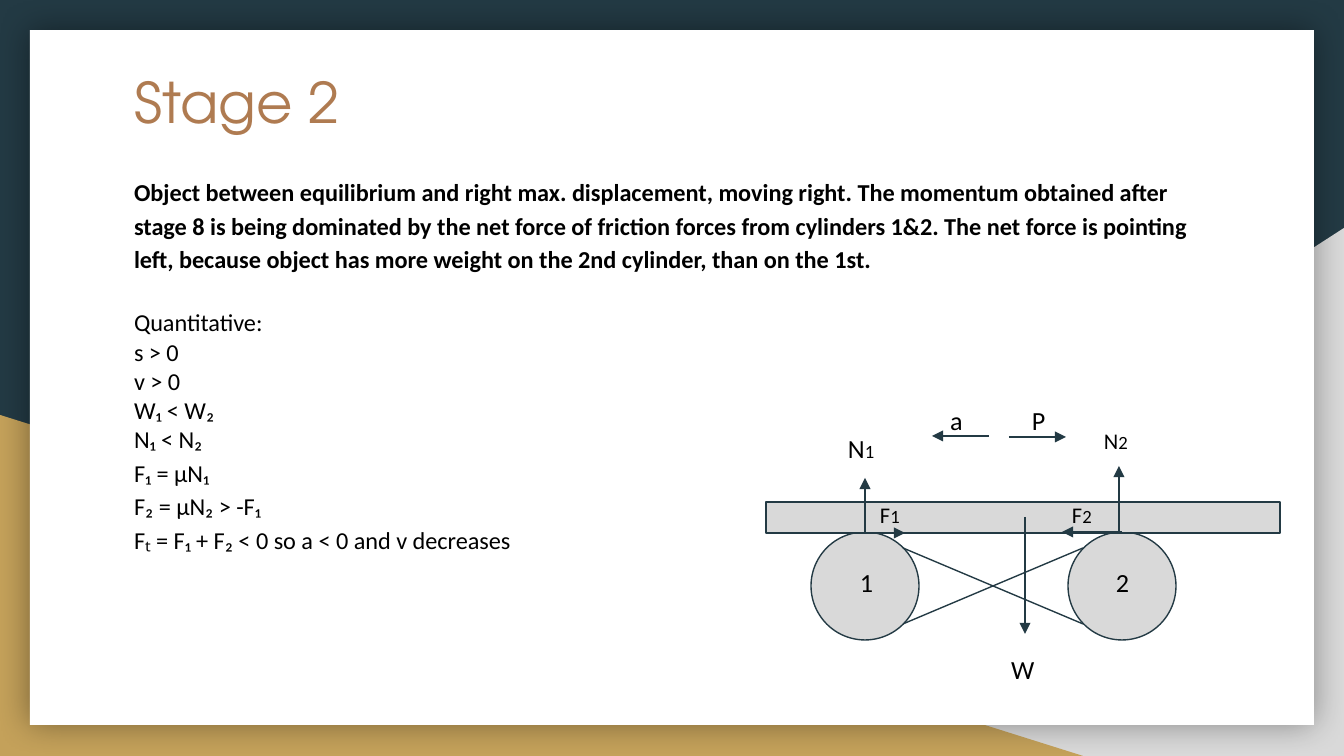
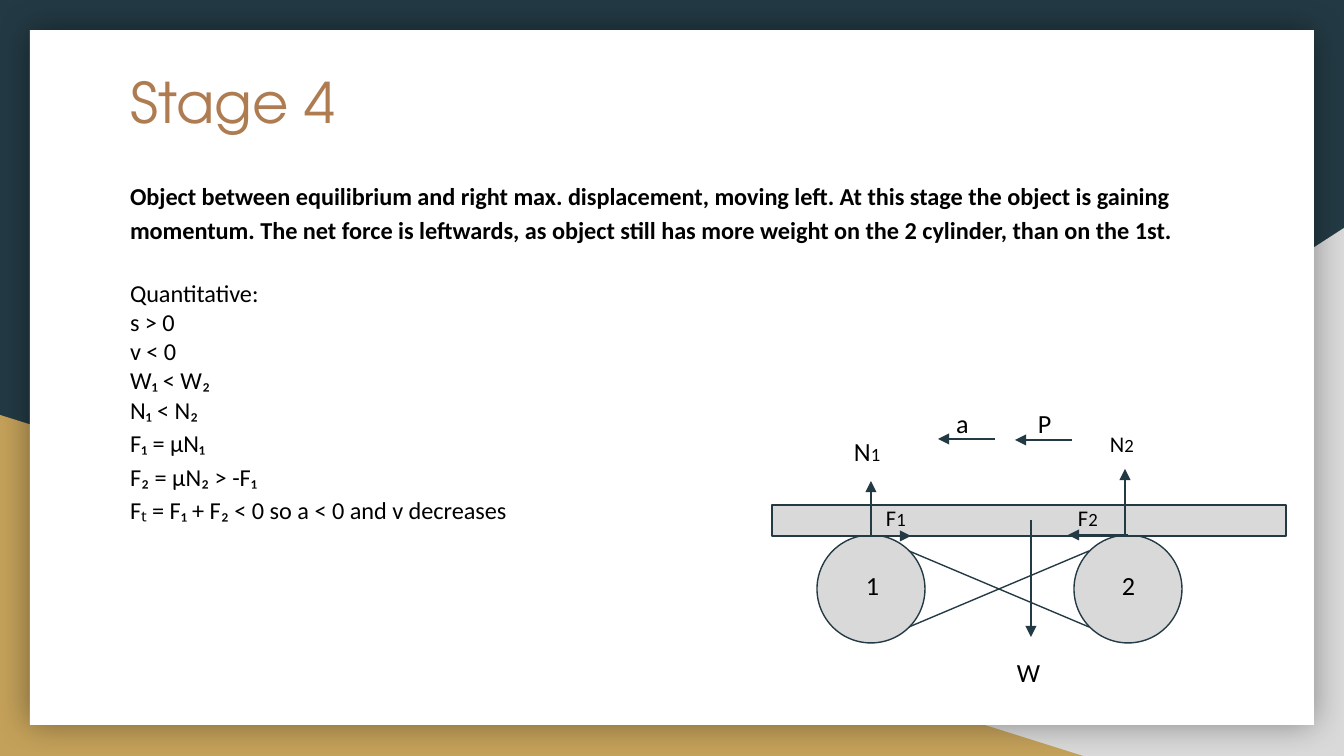
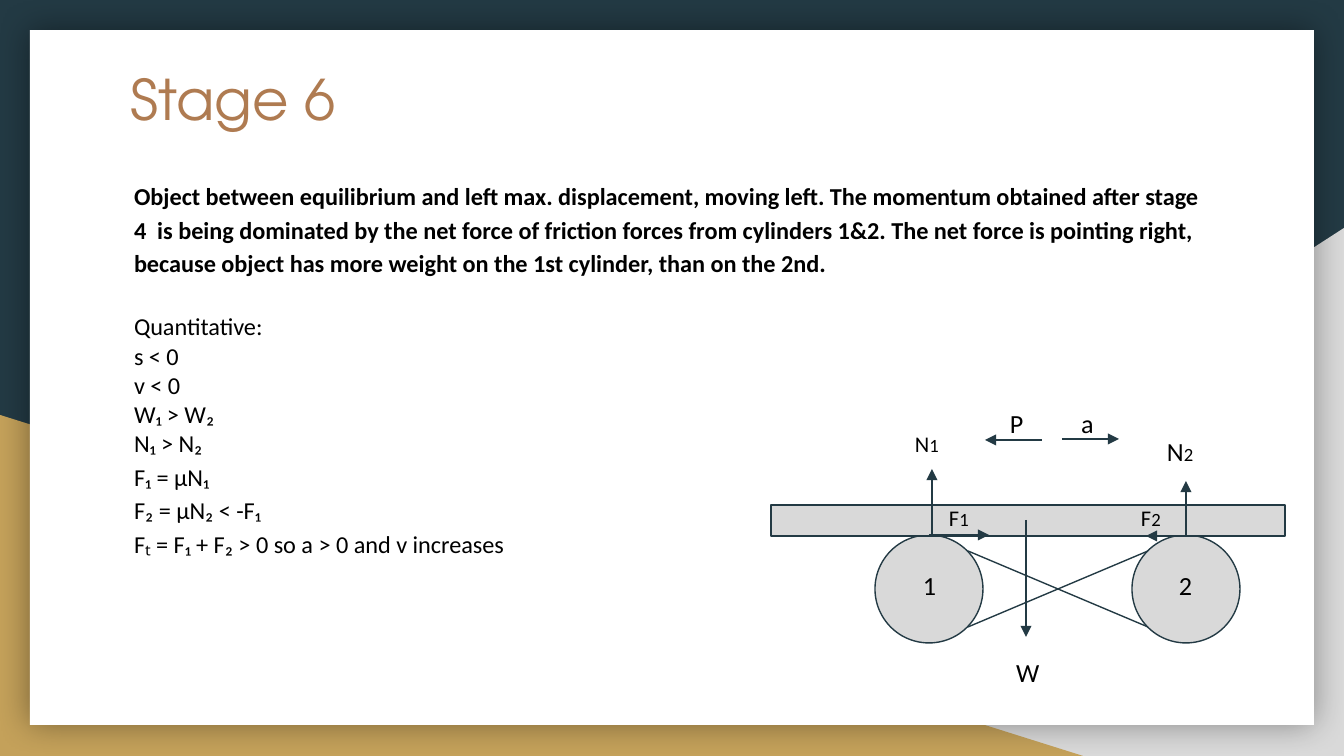
"""Builds three slides on the forces acting on a beam over two rotating cylinders."""
from dataclasses import dataclass

import lxml.etree
import pptx
import pptx.dml.color
import pptx.enum.shapes
import pptx.enum.text
import pptx.oxml.ns
import pptx.util

STAGES = [
    {
        "title": "Stage 2",
        "summary": "Object between equilibrium and right max. displacement, moving right. "
                   "The momentum obtained after stage 8 is being dominated by the net force of "
                   "friction forces from cylinders 1&2. The net force is pointing left, because "
                   "object has more weight on the 2nd cylinder, than on the 1st.",
        "readings": ["s > 0", "v > 0", "W₁ < W₂", "N₁ < N₂"],
        "friction": ["F₁ = μN₁", "F₂ = μN₂ > -F₁",
                     "Fₜ = F₁ + F₂ < 0 so a < 0 and v decreases"],
        "title_at": (121, 54), "body_at": (121, 160), "beam_at": (766, 502),
        "mirrored": False, "momentum_reversed": False,
        "momentum_label_x": 253, "acceleration_label_x": 171,
    },
    {
        "title": "Stage 4",
        "summary": "Object between equilibrium and right max. displacement, moving left. "
                   "At this stage the object is gaining momentum. The net force is leftwards, "
                   "as object still has more weight on the 2 cylinder, than on the 1st.",
        "readings": ["s > 0", "v < 0", "W₁ < W₂", "N₁ < N₂"],
        "friction": ["F₁ = μN₁", "F₂ = μN₂ > -F₁",
                     "Fₜ = F₁ + F₂ < 0 so a < 0 and v decreases"],
        "title_at": (117, 54), "body_at": (117, 164), "beam_at": (772, 505),
        "mirrored": False, "momentum_reversed": True,
        "momentum_label_x": 253, "acceleration_label_x": 171,
    },
    {
        "title": "Stage 6",
        "summary": "Object between equilibrium and left max. displacement, moving left. "
                   "The momentum obtained after stage 4  is being dominated by the net force of "
                   "friction forces from cylinders 1&2. The net force is pointing right, because "
                   "object has more weight on the 1st cylinder, than on the 2nd.",
        "readings": ["s < 0", "v < 0", "W₁ > W₂", "N₁ > N₂"],
        "friction": ["F₁ = μN₁", "F₂ = μN₂ < -F₁",
                     "Fₜ = F₁ + F₂ > 0 so a > 0 and v increases"],
        "title_at": (117, 51), "body_at": (121, 164), "beam_at": (771, 505),
        "mirrored": True, "momentum_reversed": False,
        "momentum_label_x": 226, "acceleration_label_x": 297,
    },
]

SLIDE_SIZE = (1344, 756)
TITLE_SIZE = (1103, 140)
BODY_SIZE = (1103, 516)
INSET = 13

BEAM_WIDTH, BEAM_HEIGHT = 514, 31
CYLINDER_SIZE, CYLINDER_TOP = 108, 30
CYLINDER_LEFTS = (45, 302)
BELTS = [((137, 122), (317, 46)), ((137, 46), (317, 122))]
FORCE_ARROWS = [
    ((259, 15), (259, 132)),
    ((99, 30), (99, -24)),
    ((353, 30), (353, -36)),
    ((356, 30), (296, 30)),
    ((101, 31), (139, 31)),
]
MOMENTUM_ARROW = ((243, -65), (300, -65))
ACCELERATION_ARROW = ((223, -66), (166, -66))


@dataclass(frozen=True)
class Theme:
    """Colours, fonts and sizes shared by all slides."""
    navy: str = "233A44"
    gold: str = "C4A15A"
    grey: str = "D9D9D9"
    white: str = "FFFFFF"
    bronze: str = "AF7B51"
    black: str = "000000"
    title_font: str = "TeX Gyre Adventor"
    body_font: str = "Calibri"
    title_size: int = 30
    body_size: int = 13
    label_size: int = 14
    small_label_size: int = 12
    index_size: int = 10
    thin: float = 0.75
    thick: float = 1.5
    leading: float = 1.15
    section_gap: int = 16
    shadow_blur: int = 18
    shadow_opacity: int = 40


THEME = Theme()
MSO_SHAPE = pptx.enum.shapes.MSO_SHAPE
qn = pptx.oxml.ns.qn


def px(length):
    """Turn px into EMU."""
    return pptx.util.Emu(round(length * 914400 / 134.4))


def rgb(colour):
    """Turn a hex string into a colour."""
    return pptx.dml.color.RGBColor.from_string(colour)


def style_run(run, size, font=THEME.body_font, colour=THEME.black, bold=False):
    """Set the font of one run."""
    run.font.size = pptx.util.Pt(size)
    run.font.name = font
    run.font.color.rgb = rgb(colour)
    run.font.bold = bold


def prepare_frame(frame):
    """Set wrapping, insets and top anchoring."""
    frame.word_wrap = True
    frame.auto_size = pptx.enum.text.MSO_AUTO_SIZE.NONE
    frame.vertical_anchor = pptx.enum.text.MSO_ANCHOR.TOP
    frame.margin_left = frame.margin_right = px(INSET)
    frame.margin_top = frame.margin_bottom = px(INSET)


def place(placeholder, position, size):
    """Move and size a placeholder."""
    placeholder.left, placeholder.top = map(px, position)
    placeholder.width, placeholder.height = map(px, size)


def add_filled(slide, preset, box, fill, outline=None):
    """Add a preset shape with a flat fill."""
    shape = slide.shapes.add_shape(preset, *map(px, box))
    shape.shadow.inherit = False
    shape.fill.solid()
    shape.fill.fore_color.rgb = rgb(fill)
    if outline:
        shape.line.color.rgb = rgb(outline)
        shape.line.width = pptx.util.Pt(THEME.thin)
    else:
        shape.line.fill.background()
    return shape


def add_line(slide, start, end, width, arrow=True):
    """Add a straight line, with an arrowhead at its end if wanted."""
    connector = slide.shapes.add_connector(
        pptx.enum.shapes.MSO_CONNECTOR.STRAIGHT, *map(px, (*start, *end)))
    connector.line.color.rgb = rgb(THEME.navy)
    connector.line.width = pptx.util.Pt(width)
    properties = connector.element.spPr
    if arrow:
        lxml.etree.SubElement(properties.find(qn("a:ln")), qn("a:tailEnd"), type="triangle")
    lxml.etree.SubElement(properties, qn("a:effectLst"))


def add_label(slide, box, letter, index="", size=THEME.label_size):
    """Add a letter with an optional smaller index."""
    frame = slide.shapes.add_textbox(*map(px, box)).text_frame
    prepare_frame(frame)
    frame.text = letter
    paragraph = frame.paragraphs[0]
    style_run(paragraph.runs[0], size)
    if index:
        index_run = paragraph.add_run()
        index_run.text = index
        style_run(index_run, THEME.index_size)


def add_backdrop(master, slide):
    """Give the master its background, corner triangles and white panel."""
    master.background.fill.solid()
    master.background.fill.fore_color.rgb = rgb(THEME.navy)
    right_corner = add_filled(slide, MSO_SHAPE.RIGHT_TRIANGLE, (527, 228, 817, 528), THEME.grey)
    right_corner.element.spPr.find(qn("a:xfrm")).set("flipH", "1")
    left_corner = add_filled(slide, MSO_SHAPE.RIGHT_TRIANGLE, (0, 415, 1083, 341), THEME.gold)
    panel = add_filled(slide, MSO_SHAPE.RECTANGLE, (30, 30, 1284, 695), THEME.white)
    shadow = lxml.etree.SubElement(
        panel.element.spPr.find(qn("a:effectLst")), qn("a:outerShdw"),
        blurRad=str(pptx.util.Pt(THEME.shadow_blur)), dist="0", dir="0",
        algn="ctr", rotWithShape="0")
    shade = lxml.etree.SubElement(shadow, qn("a:srgbClr"), val=THEME.black)
    lxml.etree.SubElement(shade, qn("a:alpha"), val=str(THEME.shadow_opacity * 1000))
    for order, part in enumerate((right_corner, left_corner, panel)):
        part.element.find(".//" + qn("p:cNvPr")).set("id", str(101 + order))
        master.shapes.element.insert(2 + order, part.element)


def write_title(slide, stage):
    """Fill the title placeholder."""
    title = slide.shapes.title
    place(title, stage["title_at"], TITLE_SIZE)
    prepare_frame(title.text_frame)
    title.text_frame.text = stage["title"]
    heading = title.text_frame.paragraphs[0]
    heading.alignment = pptx.enum.text.PP_ALIGN.LEFT
    style_run(heading.runs[0], THEME.title_size, THEME.title_font, THEME.bronze)


def write_body(slide, stage):
    """Fill the body placeholder with the summary and the relations."""
    body = slide.placeholders[1]
    place(body, stage["body_at"], BODY_SIZE)
    prepare_frame(body.text_frame)
    lines = [stage["summary"], "Quantitative:", *stage["readings"], *stage["friction"]]
    body.text_frame.text = "\n".join(lines)
    for number, paragraph in enumerate(body.text_frame.paragraphs):
        properties = paragraph._p.get_or_add_pPr()
        properties.set("marL", "0")
        properties.set("indent", "0")
        lxml.etree.SubElement(properties, qn("a:buNone"))
        paragraph.alignment = pptx.enum.text.PP_ALIGN.LEFT
        paragraph.space_before = pptx.util.Pt(THEME.section_gap if number == 1 else 0)
        is_reading = 2 <= number < 2 + len(stage["readings"])
        paragraph.line_spacing = 1.0 if is_reading else THEME.leading
        style_run(paragraph.runs[0], THEME.body_size, bold=number == 0)


def draw_forces(slide, stage):
    """Draw the beam, cylinders, belts and force arrows."""
    beam_left, beam_top = stage["beam_at"]
    mirrored = stage["mirrored"]

    def point(x, y):
        return beam_left + (BEAM_WIDTH - x if mirrored else x), beam_top + y

    def box(x, y, width, height):
        left = BEAM_WIDTH - x - width if mirrored else x
        return beam_left + left, beam_top + y, width, height

    for left in CYLINDER_LEFTS:
        add_filled(slide, MSO_SHAPE.OVAL,
                   box(left, CYLINDER_TOP, CYLINDER_SIZE, CYLINDER_SIZE),
                   THEME.grey, THEME.navy)
    add_filled(slide, MSO_SHAPE.RECTANGLE, box(0, 0, BEAM_WIDTH, BEAM_HEIGHT),
               THEME.grey, THEME.navy)
    for start, end in FORCE_ARROWS:
        add_line(slide, point(*start), point(*end), THEME.thick)
    for start, end in BELTS:
        add_line(slide, point(*start), point(*end), THEME.thin, arrow=False)
    momentum = MOMENTUM_ARROW[::-1] if stage["momentum_reversed"] else MOMENTUM_ARROW
    for start, end in (momentum, ACCELERATION_ARROW):
        add_line(slide, point(*start), point(*end), THEME.thin)

    light, heavy = ("2", "1") if mirrored else ("1", "2")
    add_label(slide, box(232, 138, 50, 59), "W")
    add_label(slide, box(325, -88, 58, 59), "N", heavy, THEME.small_label_size)
    add_label(slide, box(69, -83, 62, 59), "N", light)
    for index, friction_left, number_left in ((light, 101, 81), (heavy, 293, 337)):
        add_label(slide, box(friction_left, -14, 56, 44), "F", index, THEME.small_label_size)
        add_label(slide, box(number_left, 51, 38, 51), index)
    label_top = beam_top - 111
    add_label(slide, (beam_left + stage["momentum_label_x"], label_top, 62, 59), "P")
    add_label(slide, (beam_left + stage["acceleration_label_x"], label_top, 39, 55), "a")


def main():
    """Build and save the deck."""
    deck = pptx.Presentation()
    deck.slide_width, deck.slide_height = map(px, SLIDE_SIZE)
    for number, stage in enumerate(STAGES):
        slide = deck.slides.add_slide(deck.slide_layouts[1])
        if number == 0:
            add_backdrop(deck.slide_master, slide)
        write_title(slide, stage)
        write_body(slide, stage)
        draw_forces(slide, stage)
    deck.save("out.pptx")


if __name__ == "__main__":
    main()
